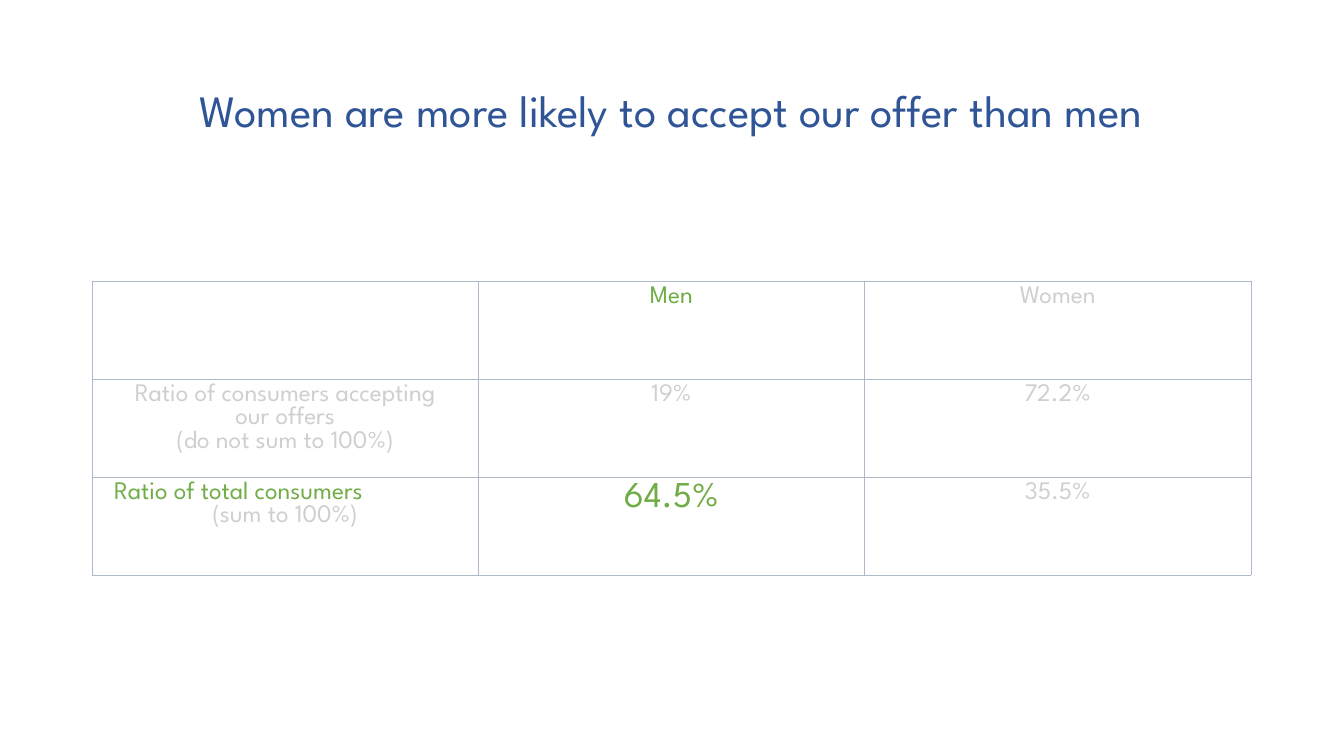
from dataclasses import dataclass
from lxml.etree import SubElement as Sub
from pptx import Presentation
from pptx.dml.color import RGBColor as RGB
from pptx.enum.text import MSO_ANCHOR as Anchor, PP_ALIGN as Align
from pptx.oxml.ns import qn
from pptx.util import Emu, Pt


@dataclass(frozen=True)
class Theme:
    face: str = "League Spartan"
    blue: str = "2F5597"
    green: str = "70AD47"
    gray: str = "D0CECE"
    rule: str = "ADB9CA"
    head: int = 32
    body: int = 18
    big: int = 26
    line: float = 0.5


look = Theme()


def px(n):
    return Emu(round(n * 914400 / 100.8))


def style(para, size, color, align=Align.CENTER):
    para.alignment = align
    font = para.font
    font.name = look.face
    font.size = Pt(size)
    font.bold = False
    font.color.rgb = RGB.from_string(color)


def add_title(slide, box):
    title = slide.shapes.title
    title.left, title.top, title.width, title.height = map(px, box)
    frame = title.text_frame
    frame.text = "Women are more likely to accept our offer than men"
    frame.vertical_anchor = Anchor.MIDDLE
    frame.word_wrap = True
    para = frame.paragraphs[0]
    style(para, look.head, look.blue)
    para.line_spacing = 0.9


def edge(cell):
    props = cell._tc.get_or_add_tcPr()
    for side in ("lnL", "lnR", "lnT", "lnB"):
        line = Sub(props, qn(f"a:{side}"), w=str(Pt(look.line)))
        fill = Sub(line, qn("a:solidFill"))
        Sub(fill, qn("a:srgbClr"), val=look.rule)
    cell.fill.background()


def add_grid(slide, box):
    rows = [
        ["", "Men", "Women"],
        ["Ratio of consumers accepting\nour offers\n(do not sum to 100%)", "19%", "72.2%"],
        ["Ratio of total consumers\n(sum to 100%)", "64.5%", "35.5%"],
    ]
    green = {"Men", "Ratio of total consumers", "64.5%"}
    table = slide.shapes.add_table(len(rows), len(rows[0]), *map(px, box)).table
    table.first_row = table.horz_banding = False
    for r, row in enumerate(rows):
        for c, text in enumerate(row):
            cell = table.cell(r, c)
            edge(cell)
            cell.text = text
            for para in cell.text_frame.paragraphs:
                color = look.green if para.text in green else look.gray
                size = look.big if para.text == "64.5%" else look.body
                style(para, size, color)
    label = table.cell(2, 0).text_frame.paragraphs[0]
    label.alignment = Align.LEFT
    label._p.get_or_add_pPr().set("marL", str(px(12)))


def main():
    deck = Presentation()
    deck.slide_width, deck.slide_height = px(1344), px(756)
    slide = deck.slides.add_slide(deck.slide_layouts[5])
    add_title(slide, (92, 40, 1159, 146))
    add_grid(slide, (92, 281, 1159, 294))
    deck.save("out.pptx")


if __name__ == "__main__":
    main()
